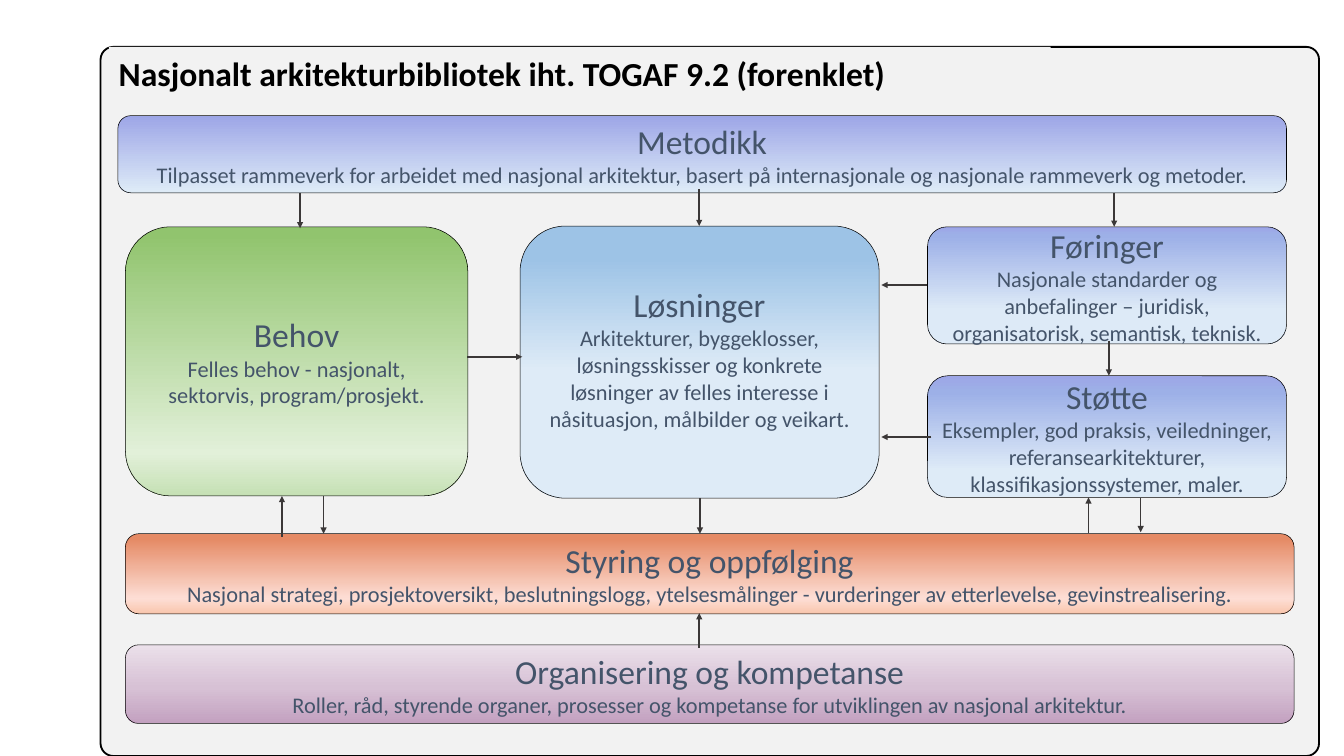
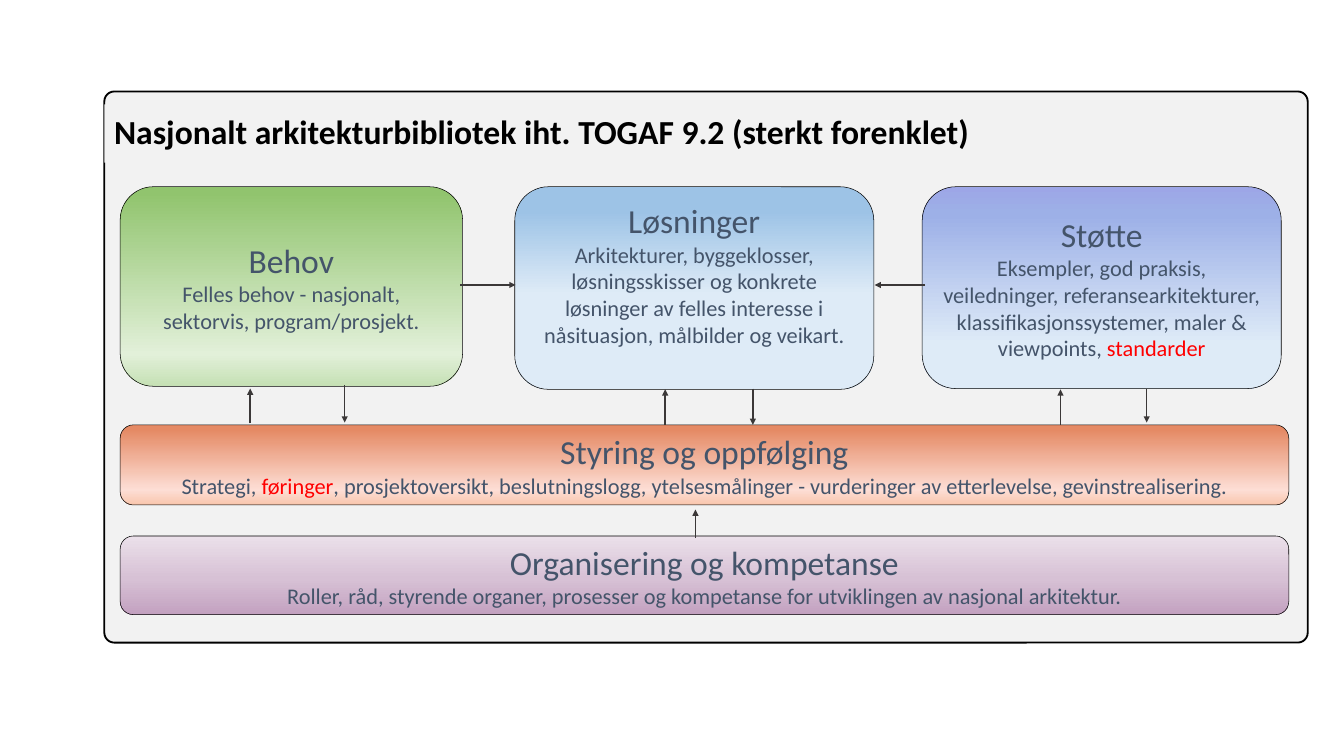
from lxml import etree
from pptx import Presentation
from pptx.dml.color import RGBColor
from pptx.enum.shapes import MSO_CONNECTOR, MSO_SHAPE
from pptx.enum.text import MSO_ANCHOR, MSO_AUTO_SIZE, PP_ALIGN
from pptx.oxml.ns import qn
from pptx.util import Inches, Pt

ROUNDED, STRAIGHT = MSO_SHAPE.ROUNDED_RECTANGLE, MSO_CONNECTOR.STRAIGHT
TOP, MIDDLE = MSO_ANCHOR.TOP, MSO_ANCHOR.MIDDLE
LEFT, CENTER = PP_ALIGN.LEFT, PP_ALIGN.CENTER

FONT = "Calibri"
BLACK = RGBColor(0x00, 0x00, 0x00)
PANEL_GREY = RGBColor(0xF2, 0xF2, 0xF2)
TEXT_BLUE = RGBColor(0x44, 0x54, 0x6A)
ARROW_GREY = RGBColor(0x3B, 0x38, 0x38)
RED = RGBColor(0xFF, 0x00, 0x00)
HEADING_SIZE, DETAIL_SIZE = Pt(32), Pt(21.3)

# Vertical gradients: (percent, colour)
PANEL_GRADIENT = [(0, "F2F2F2"), (100, "F2F2F2"), (100, "E4E4E4")]
GRADIENTS = {
    "Metodikk": [(0, "9DA6E7"), (100, "DEEBF7")],
    "Behov": [(3, "91C46E"), (84, "E2F0D9"), (100, "C5E0B4")],
    "Løsninger": [(0, "9DC3E6"), (12, "9DC3E6"), (53, "DEEBF7")],
    "Føringer": [(0, "9DA6E7"), (8, "9DB0E7"), (71, "DDEAF7"), (75, "DEEBF7")],
    "Støtte": [(0, "9DA6E7"), (14, "9DB0E7"), (78, "DEEBF7")],
    "Styring og oppfølging": [(6, "E58A65"), (81, "FDDED5"), (100, "F9C6AD")],
    "Organisering og kompetanse": [(0, "EBE0EA"), (54, "D7C1D5"), (100, "C3A1C0")],
}

# Columns and bands: (offset from the diagram's left edge, width)
BEHOV_COL, LOSNING_COL, STOTTE_COL = (0, 4.53), (5.22, 4.75), (10.61, 4.75)
BAND, METHOD_BAND = (0, 15.46), (-0.1, 15.46)

BEHOV_TEXT = ["Felles behov - nasjonalt, sektorvis, program/prosjekt."]
LOSNING_TEXT = ["Arkitekturer, byggeklosser, løsningsskisser og konkrete løsninger "
                "av felles interesse i nåsituasjon, målbilder og veikart."]
ORG_TEXT = ["Roller, råd, styrende organer, prosesser og kompetanse for "
            "utviklingen av nasjonal arkitektur."]

# Boxes: (heading, column, top, height, detail runs); a run in a tuple is highlighted
# Arrows: down and up are (x, from y, to y), across is (y, from x, to x)
SLIDES = [
    {
        "title": "Nasjonalt arkitekturbibliotek iht. TOGAF 9.2 (forenklet)",
        "title_at": (1.44, 0.62),
        "panel": (1.33, 0.62, 16.12, 9.38),
        "left": 1.66,
        "losning_inset": 0.59,
        "boxes": [
            ("Metodikk", METHOD_BAND, 1.53, 1.02,
             ["Tilpasset rammeverk for arbeidet med nasjonal arkitektur, basert på "
              "internasjonale og nasjonale rammeverk og metoder."]),
            ("Støtte", STOTTE_COL, 4.97, 1.61,
             ["Eksempler, god praksis, veiledninger, referansearkitekturer, "
              "klassifikasjonssystemer, maler."]),
            ("Løsninger", LOSNING_COL, 2.99, 3.6, LOSNING_TEXT),
            ("Føringer", STOTTE_COL, 3, 1.55,
             ["Nasjonale standarder og anbefalinger – juridisk, organisatorisk, "
              "semantisk, teknisk."]),
            ("Styring og oppfølging", BAND, 7.06, 1.06,
             ["Nasjonal strategi, prosjektoversikt, beslutningslogg, ytelsesmålinger - "
              "vurderinger av etterlevelse, gevinstrealisering."]),
            ("Organisering og kompetanse", BAND, 8.53, 1.04, ORG_TEXT),
            ("Behov", BEHOV_COL, 3, 3.56, BEHOV_TEXT),
        ],
        "vertical": [(9.25, 2.5, 2.99), (15.09, 6.59, 7.04), (3.73, 7.1, 6.56),
                     (3.97, 2.55, 3.02), (9.25, 8.57, 8.11), (14.74, 2.55, 3),
                     (9.26, 6.59, 7.06), (4.28, 6.56, 7.06), (14.4, 7.05, 6.58),
                     (14.67, 4.51, 4.97)],
        "across": [(3.77, 12.27, 11.66), (4.72, 6.18, 6.91), (5.78, 12.32, 11.66)],
    },
    {
        "title": "Nasjonalt arkitekturbibliotek iht. TOGAF 9.2 (sterkt forenklet)",
        "title_at": (1.38, 1.38),
        "panel": (1.38, 1.21, 15.92, 7.29),
        "left": 1.59,
        "losning_inset": 0.05,
        "boxes": [
            ("Støtte", STOTTE_COL, 2.47, 2.67,
             ["Eksempler, god praksis, veiledninger, referansearkitekturer, "
              "klassifikasjonssystemer, maler & viewpoints, ", ("standarder",)]),
            ("Løsninger", LOSNING_COL, 2.47, 2.68, LOSNING_TEXT),
            ("Styring og oppfølging", BAND, 5.62, 1.06,
             ["Strategi, ", ("føringer",),
              ", prosjektoversikt, beslutningslogg, ytelsesmålinger - "
              "vurderinger av etterlevelse, gevinstrealisering."]),
            ("Organisering og kompetanse", BAND, 7.09, 1.04, ORG_TEXT),
            ("Behov", BEHOV_COL, 2.47, 2.64, BEHOV_TEXT),
        ],
        "vertical": [(15.17, 5.15, 5.59), (9.2, 7.12, 6.74), (9.96, 5.14, 5.62),
                     (4.56, 5.09, 5.59), (14.03, 5.62, 5.15), (3.31, 5.6, 5.14),
                     (8.8, 5.62, 5.15)],
        "across": [(3.77, 6.09, 6.82), (3.77, 12.24, 11.57)],
    },
]


def add_run(p, text, size, color, bold=False):
    r = p.add_run()
    r.text = text
    r.font.name, r.font.size, r.font.bold = FONT, size, bold
    r.font.color.rgb = color


def add_rounded(s, at, stops, line_width):
    """Rounded box with a black outline and a top-to-bottom gradient."""
    sp = s.shapes.add_shape(ROUNDED, *map(Inches, at))
    sp.shadow.inherit = False
    sp.line.color.rgb = BLACK
    sp.line.width = Pt(line_width)
    sp.fill.gradient()
    sp.fill.gradient_angle = 270
    gs_list = sp._element.spPr.find(qn("a:gradFill")).find(qn("a:gsLst"))
    for gs in list(gs_list):
        gs_list.remove(gs)
    for percent, color in stops:
        gs = etree.SubElement(gs_list, qn("a:gs"), pos=str(percent * 1000))
        etree.SubElement(gs, qn("a:srgbClr"), val=color)
    return sp


def add_title(s, text, at):
    sp = s.shapes.title
    s.shapes._spTree.append(sp._element)  # bring in front of the panel
    sp.left, sp.top, sp.width, sp.height = map(Inches, (*at, 12.46, 0.77))
    sp.fill.solid()
    sp.fill.fore_color.rgb = PANEL_GREY
    tf = sp.text_frame
    tf.auto_size, tf.word_wrap = MSO_AUTO_SIZE.NONE, True
    tf.vertical_anchor = MIDDLE
    tf.margin_left = tf.margin_right = Inches(0.13)
    tf.margin_top = tf.margin_bottom = Inches(0.07)
    p = tf.paragraphs[0]
    p.alignment, p.line_spacing = LEFT, 0.9
    add_run(p, text, HEADING_SIZE, BLACK, bold=True)


def add_box(s, heading, at, details):
    sp = add_rounded(s, at, GRADIENTS[heading], 0.5)
    tf = sp.text_frame
    tf.word_wrap = True
    tf.vertical_anchor = MIDDLE
    p = tf.paragraphs[0]
    p.alignment = CENTER
    add_run(p, heading, HEADING_SIZE, TEXT_BLUE)
    p = tf.add_paragraph()
    p.alignment = CENTER
    for part in details:
        if isinstance(part, tuple):
            add_run(p, part[0], DETAIL_SIZE, RED)
        else:
            add_run(p, part, DETAIL_SIZE, TEXT_BLUE)
    return tf


def add_arrow(s, *ends):
    line = s.shapes.add_connector(STRAIGHT, *map(Inches, ends))
    line.line.color.rgb = ARROW_GREY
    line.line.width = Pt(1.5)
    etree.SubElement(line.line._get_or_add_ln(), qn("a:tailEnd"), type="triangle")
    etree.SubElement(line._element.spPr, qn("a:effectLst"))


def build_slide(prs, content):
    s = prs.slides.add_slide(prs.slide_layouts[5])

    # Panel and title
    panel = add_rounded(s, content["panel"], PANEL_GRADIENT, 1.75)
    panel.adjustments[0] = 0.018
    add_title(s, content["title"], content["title_at"])

    # Boxes
    for heading, (offset, width), top, height, details in content["boxes"]:
        tf = add_box(s, heading, (content["left"] + offset, top, width, height), details)
        if heading == "Løsninger":
            tf.vertical_anchor = TOP
            tf.margin_top = Inches(content["losning_inset"])

    # Arrows
    for x, start, end in content["vertical"]:
        add_arrow(s, x, start, x, end)
    for y, start, end in content["across"]:
        add_arrow(s, start, y, end, y)


def main():
    prs = Presentation()
    prs.slide_width, prs.slide_height = Inches(17.78), Inches(10)
    for content in SLIDES:
        build_slide(prs, content)
    prs.save("out.pptx")


if __name__ == "__main__":
    main()
